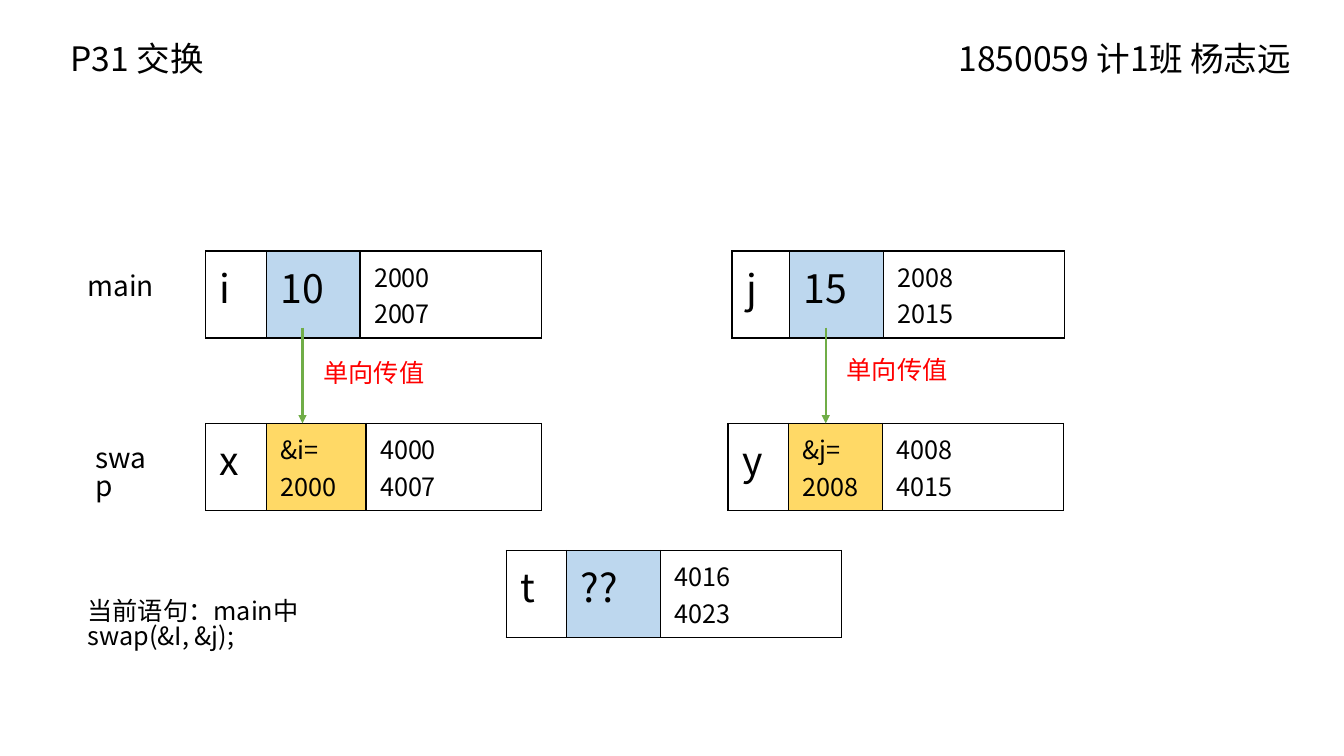
from lxml import etree
from pptx import Presentation
from pptx.dml.color import RGBColor
from pptx.enum import shapes, text
from pptx.oxml.ns import qn
from pptx.util import Inches, Pt

FONT = "Noto Sans CJK SC"
BLACK, RED, GREEN, BLUE, YELLOW = "000000", "FF0000", "70AD47", "BDD7EE", "FFD966"

LABELS = [
    (0.6, 0.4, 4.42, 0.5, ["P31 交换"], 24, BLACK, True),
    (9.41, 0.4, 3.5, 0.5, ["1850059 计1班 杨志远"], 24, BLACK, True),
    (0.77, 2.67, 1.14, 0.44, ["main"], 20, BLACK, True),
    (0.85, 4.38, 0.81, 0.44, ["swap"], 20, BLACK, True),
    (0.77, 5.91, 3.4, 0.71, ["当前语句：main中", "swap(&I, &j);"], 18, BLACK, True),
    (3.11, 3.55, 1.21, 0.4, ["单向传值"], 18, RED, False),
    (8.3, 3.52, 1.21, 0.4, ["单向传值"], 18, RED, False),
]
VARIABLES = [
    (2.04, 2.49, 0.76, (0.6, 0.93, 1.8), "i", "10", 28, BLUE, ["2000", "2007"]),
    (2.04, 4.2, 0.76, (0.6, 0.99, 1.74), "x", "&i= 2000", 18, YELLOW, ["4000", "4007"]),
    (7.26, 2.49, 0.74, (0.57, 0.93, 1.8), "j", "15", 28, BLUE, ["2008", "2015"]),
    (7.22, 4.2, 0.76, (0.6, 0.93, 1.8), "y", "&j= 2008", 18, YELLOW, ["4008", "4015"]),
    (5.02, 5.46, 0.76, (0.6, 0.93, 1.8), "t", "??", 28, BLUE, ["4016", "4023"]),
]
ARROW_XS = (3, 8.19)
ARROW_TOP, ARROW_BOTTOM = 3.25, 4.2


def rgb(value):
    return RGBColor.from_string(value)


def set_all(obj, values):
    for name, value in values.items():
        setattr(obj, name, value)


def write(tf, lines, size, color, spacing=None):
    for n, line in enumerate(lines):
        p = tf.add_paragraph() if n else tf.paragraphs[0]
        p.line_spacing = spacing
        r = p.add_run()
        r.text = line
        set_all(r.font, {"size": Pt(size), "name": FONT, "bold": False})
        r.font.color.rgb = rgb(color)
        etree.SubElement(r.font._element, qn("a:ea"), typeface=FONT)


def add_label(s, x, y, w, h, lines, size, color, wrap):
    tf = s.shapes.add_textbox(*map(Inches, (x, y, w, h))).text_frame
    set_all(tf, {"word_wrap": wrap, "auto_size": text.MSO_AUTO_SIZE.SHAPE_TO_FIT_TEXT})
    write(tf, lines, size, color, 0.82)


def add_border(cell):
    pr = cell._tc.get_or_add_tcPr()
    for n, side in enumerate(("lnL", "lnR", "lnT", "lnB")):
        ln = etree.Element(qn("a:" + side), w=str(Pt(1)))
        fill = etree.SubElement(ln, qn("a:solidFill"))
        etree.SubElement(fill, qn("a:srgbClr"), val=BLACK)
        pr.insert(n, ln)


def add_variable(s, x, y, h, widths, name, value, size, color, addresses):
    frame = s.shapes.add_table(1, 3, *map(Inches, (x, y, sum(widths), h)))
    table = frame.table
    set_all(table, {"first_row": False, "horz_banding": False})
    parts = [([name], 28, None), ([value], size, color), (addresses, 18, None)]
    for column, width, cell, (lines, pt, fill) in zip(
            table.columns, widths, table.rows[0].cells, parts):
        column.width = Inches(width)
        set_all(cell, {"margin_left": Inches(0.14), "margin_right": Inches(0.14),
                       "margin_top": Inches(0.07), "margin_bottom": Inches(0.07)})
        if fill:
            cell.fill.solid()
            cell.fill.fore_color.rgb = rgb(fill)
        else:
            cell.fill.background()
        add_border(cell)
        write(cell.text_frame, lines, pt, BLACK)


def add_arrow(s, x):
    line = s.shapes.add_connector(shapes.MSO_CONNECTOR.STRAIGHT, Inches(x),
                                  Inches(ARROW_TOP), Inches(x), Inches(ARROW_BOTTOM))
    line.line.color.rgb = rgb(GREEN)
    line.line.width = Pt(1.5)
    etree.SubElement(line.line._get_or_add_ln(), qn("a:tailEnd"), type="triangle")
    etree.SubElement(line._element.spPr, qn("a:effectLst"))


prs = Presentation()
set_all(prs, {"slide_width": Inches(13.33), "slide_height": Inches(7.5)})
s = prs.slides.add_slide(prs.slide_layouts[6])
for variable in VARIABLES:
    add_variable(s, *variable)
for x in ARROW_XS:
    add_arrow(s, x)
for label in LABELS:
    add_label(s, *label)
prs.save("out.pptx")
